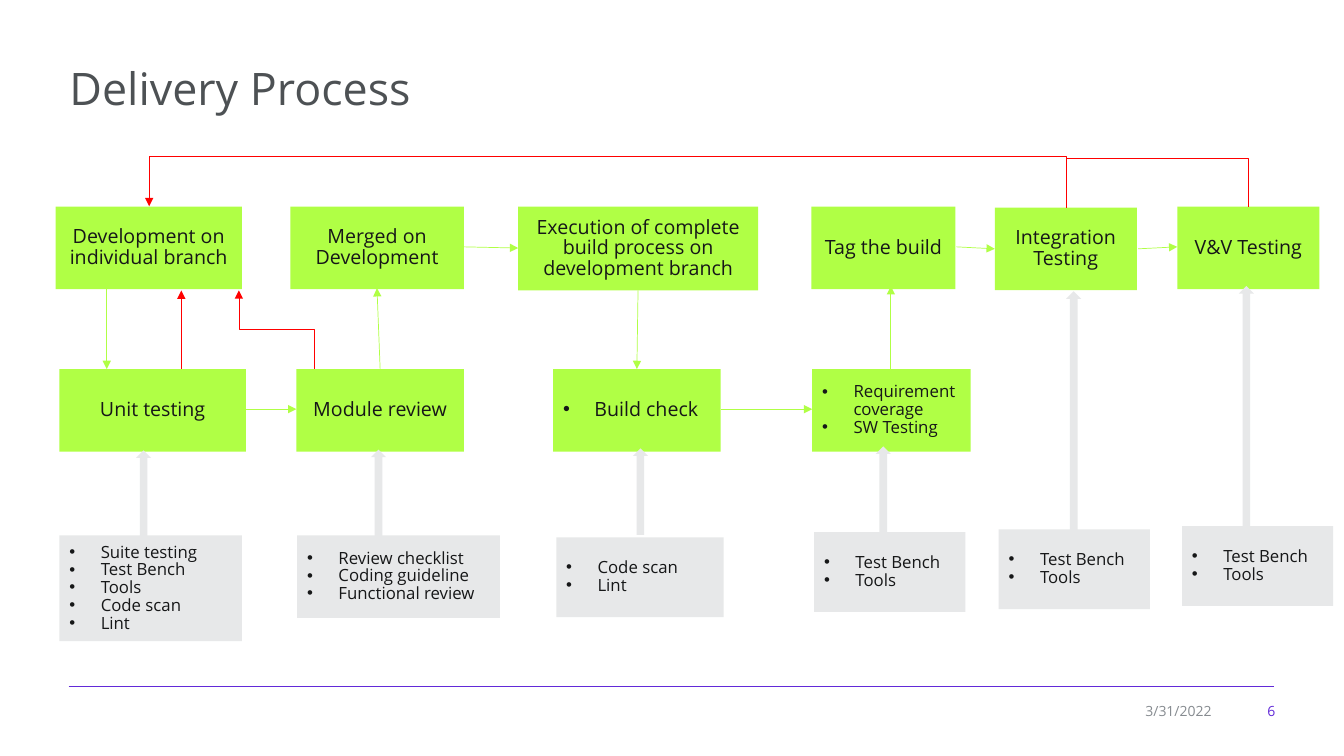
from lxml import etree
from pptx import Presentation
from pptx.dml.color import RGBColor
from pptx.enum.shapes import MSO_CONNECTOR, MSO_SHAPE
from pptx.enum.text import MSO_ANCHOR, PP_ALIGN
from pptx.oxml.ns import qn
from pptx.util import Cm, Pt

RECTANGLE, UP_ARROW = MSO_SHAPE.RECTANGLE, MSO_SHAPE.UP_ARROW
STRAIGHT, ELBOW = MSO_CONNECTOR.STRAIGHT, MSO_CONNECTOR.ELBOW
LEFT, CENTER, RIGHT = PP_ALIGN.LEFT, PP_ALIGN.CENTER, PP_ALIGN.RIGHT
TOP, MIDDLE = MSO_ANCHOR.TOP, MSO_ANCHOR.MIDDLE
GREEN, GREY, RED, PURPLE, INK = "B0FF45", "E7E8E9", "FF0000", "622AD8", "161718"
FONT = "Open Sans"
BULLET_INDENT = Cm(0.79)
rgb = RGBColor.from_string


def add_line(kind, start, end, color, width=0.5, arrow=True):
    connector = slide.shapes.add_connector(kind, *(Cm(v) for v in start + end))
    connector.line.color.rgb = rgb(color)
    connector.line.width = Pt(width)
    if arrow:
        line = connector.line._get_or_add_ln()
        etree.SubElement(line, qn("a:tailEnd"), type="triangle")
    etree.SubElement(connector._element.spPr, qn("a:effectLst"))
    return connector


def write_lines(shape, lines, size, color, align=LEFT, anchor=MIDDLE, bulleted=False):
    frame = shape.text_frame
    frame.word_wrap = True
    frame.vertical_anchor = anchor
    frame.text = "\n".join(lines)
    for paragraph in frame.paragraphs:
        paragraph.alignment = align
        if bulleted:
            paragraph.line_spacing = 0.88
            properties = paragraph._p.get_or_add_pPr()
            properties.set("marL", str(BULLET_INDENT))
            properties.set("indent", str(-BULLET_INDENT))
            etree.SubElement(properties, qn("a:buFont"), typeface="Arial")
            etree.SubElement(properties, qn("a:buChar"), char="•")
        elif align == CENTER:
            paragraph.line_spacing = 0.88
        paragraph.font.name = FONT
        paragraph.font.size = Pt(size)
        paragraph.font.color.rgb = rgb(color)


presentation = Presentation()
presentation.slide_width, presentation.slide_height = Cm(33.87), Cm(19.05)
slide = presentation.slides.add_slide(presentation.slide_layouts[6])

# Title and footer
add_line(STRAIGHT, (1.73, 17.3), (32.11, 17.3), PURPLE, 0.75, arrow=False)
captions = [
    ("Delivery Process", (1.5, 1.4, 30.89, 1.68), 32, "4D5154", LEFT, TOP),
    ("6", (31.09, 17.58, 1.3, 0.66), 10, PURPLE, RIGHT, MIDDLE),
    ("3/31/2022", (28.37, 17.58, 2.41, 0.66), 10, "868B90", RIGHT, MIDDLE),
]
for text, place, size, color, align, anchor in captions:
    box = slide.shapes.add_textbox(*(Cm(v) for v in place))
    write_lines(box, [text], size, color, align, anchor)

# Process steps and the tools behind them: fill, place, size, bulleted, lines
bench = ["Test Bench", "Tools"]
boxes = [
    (GREEN, (1.4, 5.21, 4.7, 2.08), 14, False, ["Development on individual branch"]),
    (GREEN, (7.32, 5.21, 4.37, 2.08), 14, False, ["Merged on Development"]),
    (GREEN, (13.06, 5.21, 6.05, 2.11), 14, False,
     ["Execution of complete build process on development branch"]),
    (GREEN, (20.45, 5.21, 3.63, 2.08), 14, False, ["Tag the build"]),
    (GREEN, (25.07, 5.23, 3.58, 2.08), 14, False, ["Integration Testing"]),
    (GREEN, (29.67, 5.21, 3.58, 2.08), 14, False, ["V&V Testing"]),
    (GREEN, (1.5, 9.3, 4.7, 2.08), 14, False, ["Unit testing"]),
    (GREEN, (7.47, 9.3, 4.22, 2.08), 14, False, ["Module review"]),
    (GREEN, (13.94, 9.3, 4.22, 2.08), 14, True, ["Build check"]),
    (GREEN, (20.47, 9.3, 3.99, 2.08), 12, True, ["Requirement coverage", "SW Testing"]),
    (GREY, (1.5, 13.49, 4.6, 2.67), 12, True,
     ["Suite testing", "Test Bench", "Tools", "Code scan", "Lint"]),
    (GREY, (7.49, 13.49, 5.11, 2.08), 12, True,
     ["Review checklist", "Coding guideline", "Functional review"]),
    (GREY, (14.02, 13.54, 4.22, 2.01), 12, True, ["Code scan", "Lint"]),
    (GREY, (20.52, 13.41, 3.81, 2.01), 12, True, bench),
    (GREY, (25.17, 13.34, 3.81, 2.01), 12, True, bench),
    (GREY, (29.79, 13.26, 3.81, 2.01), 12, True, bench),
]
for fill, place, size, bulleted, lines in boxes:
    box = slide.shapes.add_shape(RECTANGLE, *(Cm(v) for v in place))
    box.shadow.inherit = False
    box.fill.solid()
    box.fill.fore_color.rgb = rgb(fill)
    box.line.fill.background()
    write_lines(box, lines, size, INK, LEFT if bulleted else CENTER, bulleted=bulleted)

# Block arrows from the tools up to the steps: left, top, height
tool_arrows = [(3.43, 11.35, 2.18), (9.35, 11.33, 2.18), (15.95, 11.3, 2.18),
               (22.07, 11.25, 2.18), (26.87, 7.34, 6.15), (31.22, 7.21, 6.15)]
for left, top, height in tool_arrows:
    arrow = slide.shapes.add_shape(UP_ARROW, Cm(left), Cm(top), Cm(0.38), Cm(height))
    arrow.shadow.inherit = False
    arrow.fill.solid()
    arrow.fill.fore_color.rgb = rgb(GREY)
    arrow.line.fill.background()

# Forward flow in green, return from unit testing in red
flows = [
    ((2.69, 7.26), (2.69, 9.3), GREEN),
    ((4.57, 9.3), (4.57, 7.32), RED),
    ((6.17, 10.31), (7.47, 10.31), GREEN),
    ((9.58, 9.3), (9.5, 7.26), GREEN),
    ((11.68, 6.22), (13.06, 6.25), GREEN),
    ((16.08, 7.32), (16.05, 9.3), GREEN),
    ((18.16, 10.31), (20.47, 10.31), GREEN),
    ((22.45, 9.3), (22.45, 7.21), GREEN),
    ((24.1, 6.22), (25.07, 6.27), GREEN),
    ((28.68, 6.27), (29.67, 6.22), GREEN),
]
for start, end, color in flows:
    add_line(STRAIGHT, start, end, color)

# Returns that rise, then run left: start, end, preset, bend (share of the rise), arrow
returns = [
    ((26.87, 5.24), (3.76, 5.2), "bentConnector3", 32.5, True),
    ((31.45, 5.21), (26.87, 3.99), "bentConnector2", None, False),
    ((7.92, 9.3), (6.02, 7.32), "bentConnector3", 0.5, True),
]
for (x1, y1), (x2, y2), preset, bend, arrow in returns:
    # A quarter turn swaps width and height around the same centre
    center_x, center_y = (x1 + x2) / 2, (y1 + y2) / 2
    half_width, half_height = (y1 - y2) / 2, (x1 - x2) / 2
    elbow = add_line(ELBOW, (center_x - half_width, center_y + half_height),
                     (center_x + half_width, center_y - half_height), RED, arrow=arrow)
    elbow._element.spPr.find(qn("a:xfrm")).set("rot", str(270 * 60000))
    geometry = elbow._element.spPr.find(qn("a:prstGeom"))
    geometry.set("prst", preset)
    if bend is not None:
        etree.SubElement(geometry.find(qn("a:avLst")), qn("a:gd"),
                         name="adj1", fmla=f"val {round(bend * 100000)}")

presentation.save("out.pptx")
